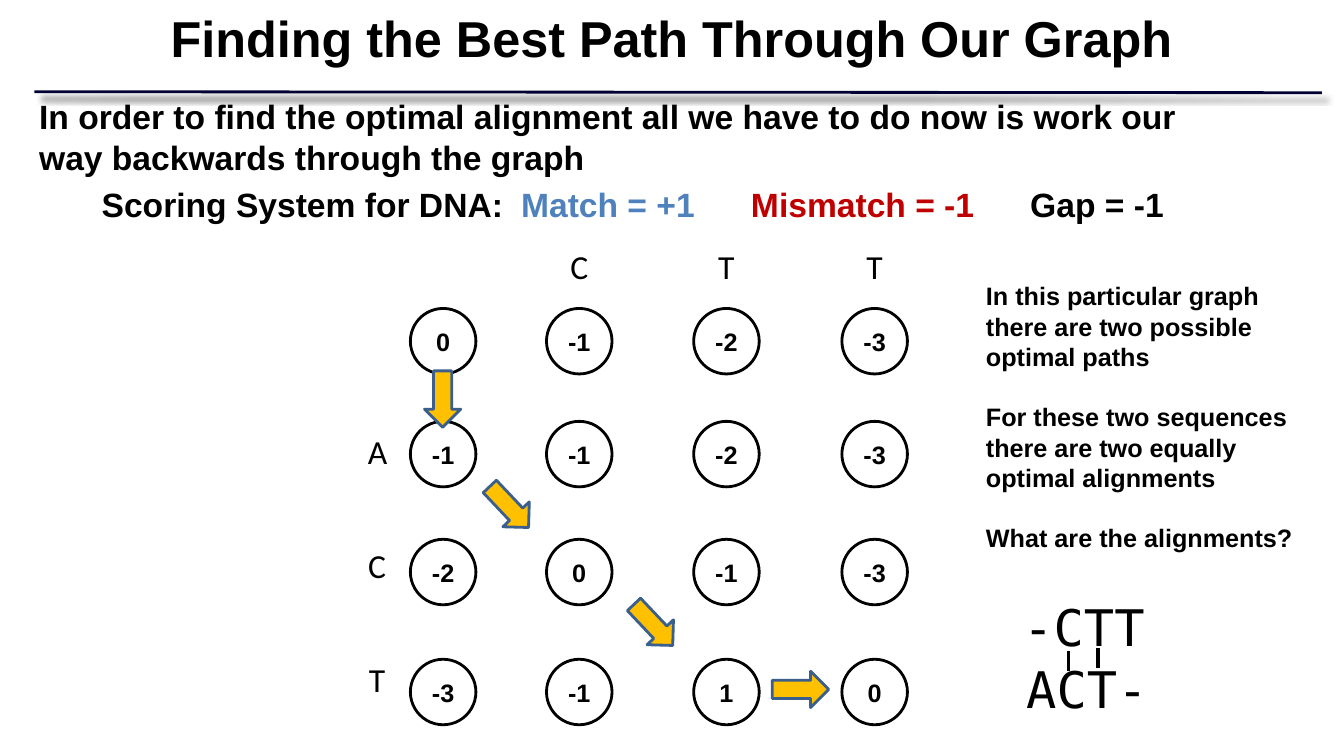
from lxml import etree
from pptx import Presentation
from pptx import util as u
from pptx.dml.color import RGBColor
from pptx.enum import shapes, text
from pptx.oxml import ns

CIRCLE_SIZE = 0.65
COLUMN_LEFTS = [4.07, 5.42, 6.88, 8.35]
ROW_TOPS = [3.06, 4.18, 5.35, 6.54]
SCORES = [
    ["0", "-1", "-2", "-3"],
    ["-1", "-1", "-2", "-3"],
    ["-2", "0", "-1", "-3"],
    ["-3", "-1", "1", "0"],
]
PATH_ARROWS = [(4.11, 3.78, 90), (4.77, 4.85, 46.6), (6.2, 6.02, 46.6), (7.66, 6.66, 0)]


def color(value):
    return RGBColor.from_string(value)


def write(frame, paragraphs, size=18, font="Arial", bold=True, align="LEFT",
          wrap=True, leading=None, gap=0, tabs=()):
    """Fill a text frame with paragraphs, each a list of (text, colour) runs."""
    frame.word_wrap = wrap
    frame.vertical_anchor = text.MSO_ANCHOR.MIDDLE
    for index, runs in enumerate(paragraphs):
        paragraph = frame.paragraphs[0] if index == 0 else frame.add_paragraph()
        paragraph.alignment = getattr(text.PP_ALIGN, align)
        paragraph.space_before = u.Pt(gap if index else 0)
        if leading:
            paragraph.line_spacing = u.Pt(leading)
        if tabs:
            properties = paragraph._p.get_or_add_pPr()
            stops = etree.SubElement(properties, ns.qn("a:tabLst"))
            for position in tabs:
                etree.SubElement(stops, ns.qn("a:tab"), pos=str(u.Inches(position)), algn="l")
        for words, run_color in runs:
            run = paragraph.add_run()
            run.text = words
            run.font.name = font
            run.font.size = u.Pt(size)
            run.font.bold = bold
            run.font.color.rgb = color(run_color)


class AlignmentSlide:
    ink = "000000"
    rule = "000033"
    arrow_fill = "FFC000"
    arrow_line = "3A5F8C"

    def __init__(self, presentation):
        self.slide = presentation.slides.add_slide(presentation.slide_layouts[5])

    def title(self, words, left, top, width, height):
        shape = self.slide.shapes.title
        shape.left, shape.top = u.Inches(left), u.Inches(top)
        shape.width, shape.height = u.Inches(width), u.Inches(height)
        write(shape.text_frame, [[(words, self.ink)]], size=36, align="CENTER")

    def text_box(self, paragraphs, left, top, width, height, **style):
        box = self.slide.shapes.add_textbox(*map(u.Inches, (left, top, width, height)))
        write(box.text_frame, paragraphs, **style)

    def plain(self, words, left, top, width, height, **style):
        self.text_box([[(words, self.ink)]], left, top, width, height,
                      bold=False, wrap=False, **style)

    def line(self, start, end, line_color, width, shadow=False):
        connector = self.slide.shapes.add_connector(
            shapes.MSO_CONNECTOR.STRAIGHT, *map(u.Inches, start + end))
        connector.line.color.rgb = color(line_color)
        connector.line.width = u.Pt(width)
        effects = etree.SubElement(connector._element.spPr, ns.qn("a:effectLst"))
        if shadow:
            outer = etree.SubElement(
                effects, ns.qn("a:outerShdw"), blurRad=str(u.Pt(4)),
                dist=str(u.Pt(6)), dir=str(45 * 60000))
            black = etree.SubElement(outer, ns.qn("a:srgbClr"), val=self.ink)
            etree.SubElement(black, ns.qn("a:alpha"), val="50000")

    def shape(self, kind, left, top, width, height, line_color, fill=None):
        shape = self.slide.shapes.add_shape(
            kind, *map(u.Inches, (left, top, width, height)))
        shape.shadow.inherit = False
        if fill:
            shape.fill.solid()
            shape.fill.fore_color.rgb = color(fill)
        else:
            shape.fill.background()
        shape.line.color.rgb = color(line_color)
        shape.line.width = u.Pt(2)
        return shape

    def node(self, score, left, top):
        circle = self.shape(shapes.MSO_SHAPE.OVAL, left, top, CIRCLE_SIZE, CIRCLE_SIZE, self.ink)
        write(circle.text_frame, [[(score, self.ink)]], align="CENTER", wrap=False)

    def arrow(self, left, top, rotation):
        arrow = self.shape(shapes.MSO_SHAPE.RIGHT_ARROW, left, top, 0.56, 0.36,
                           self.arrow_line, self.arrow_fill)
        arrow.rotation = rotation


def main():
    presentation = Presentation()
    presentation.slide_width = u.Inches(13.33)
    presentation.slide_height = u.Inches(7.5)
    page = AlignmentSlide(presentation)

    page.line((0.34, 0.91), (13.11, 0.92), page.rule, 2, shadow=True)
    page.title("Finding the Best Path Through Our Graph", 0.85, 0.02, 11.63, 0.71)
    page.text_box([[("In order to find the optimal alignment all we have to do now is work our "
                     "way backwards through the graph", page.ink)]],
                  0.29, 0.9, 11.96, 0.91, size=24, leading=29.3)
    page.text_box([[("Scoring System for DNA:", page.ink), ("\tMatch = +1", "4F81BD"),
                    ("\tMismatch = -1", "C00000"), ("\tGap = -1", page.ink)]],
                  0.91, 1.77, 11.02, 0.5, size=24, tabs=(4.16, 6.44, 9.21))

    for letter, left in zip("CTT", COLUMN_LEFTS[1:]):
        page.plain(letter, left, 2.39, CIRCLE_SIZE, 0.5, size=24, font="Calibri", align="CENTER")
    for index, letter in enumerate("ACT"):
        page.plain(letter, 3.55, 4.23 + 1.13 * index, 0.38, 0.5,
                   size=24, font="Calibri", align="CENTER")

    for top, scores in zip(ROW_TOPS, SCORES):
        for left, score in zip(COLUMN_LEFTS, scores):
            page.node(score, left, top)
    for left, top, rotation in PATH_ARROWS:
        page.arrow(left, top, rotation)

    remarks = ["In this particular graph there are two possible optimal paths",
               "For these two sequences there are two equally optimal alignments",
               "What are the alignments?"]
    page.text_box([[(remark, page.ink)] for remark in remarks],
                  9.68, 2.72, 3.49, 2.83, leading=21.6, gap=21.6)

    for sequence, left, top in [("-CTT", 10.05, 5.86), ("ACT-", 10.08, 6.47)]:
        page.plain(sequence, left, top, 1.42, 0.71, size=36, font="DejaVu Sans Mono")
    for x, top in [(10.6, 6.46), (10.89, 6.43)]:
        page.line((x, top), (x, top + 0.2), page.ink, 2.25)

    presentation.save("out.pptx")


if __name__ == "__main__":
    main()
